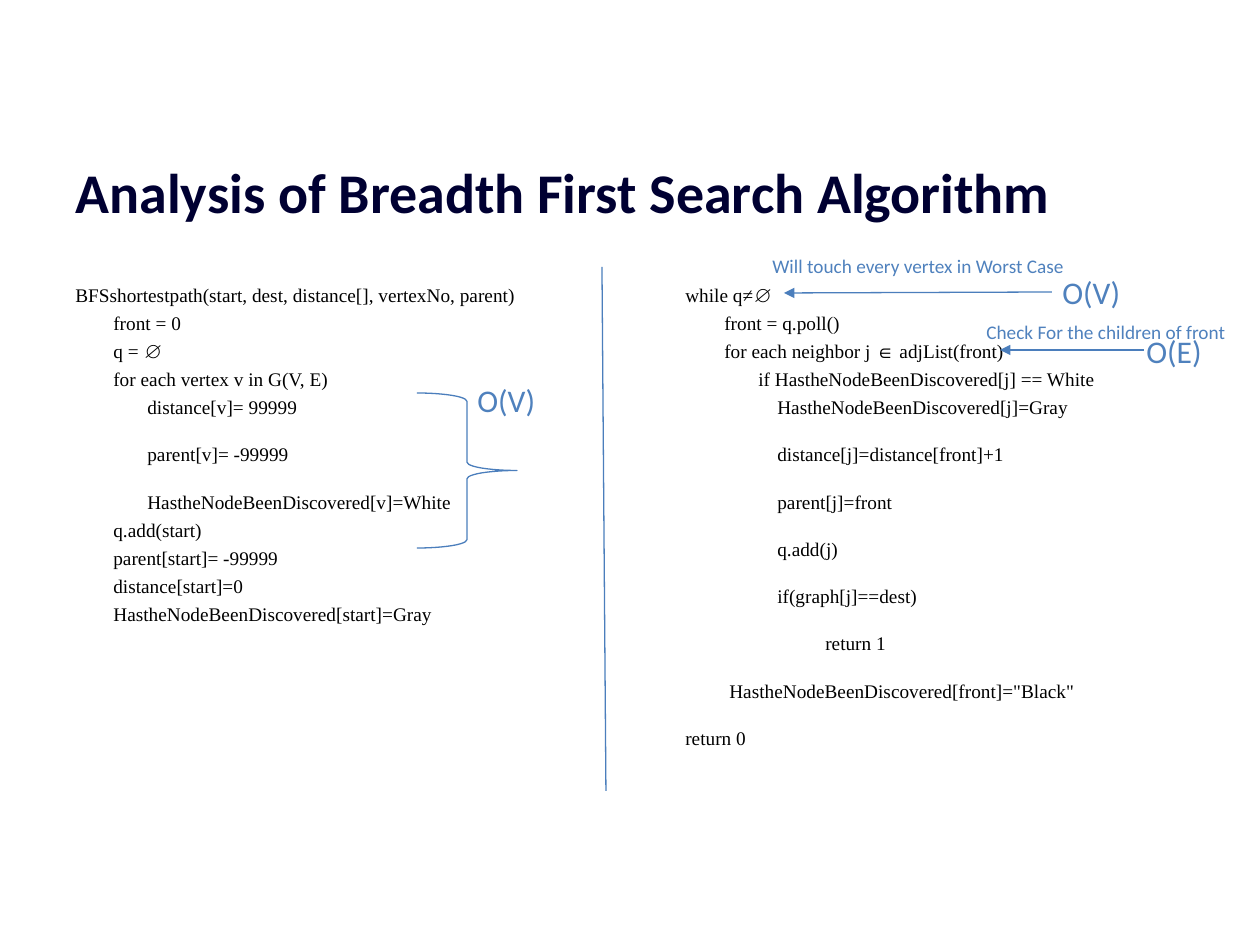
"""Build a slide that analyses the cost of breadth first search."""
import pptx
import pptx.dml.color
import pptx.enum.shapes
import pptx.enum.text
import pptx.oxml.ns
import pptx.util
from lxml import etree

PX = 914400 // 126
NAVY = pptx.dml.color.RGBColor(0x00, 0x00, 0x32)
BLACK = pptx.dml.color.RGBColor(0x00, 0x00, 0x00)
BLUE = pptx.dml.color.RGBColor(0x4F, 0x81, 0xBD)
LINE_BLUE = pptx.dml.color.RGBColor(0x4B, 0x7E, 0xBC)
TIGHT, LOOSE = 2.8, 13.8

SETUP_CODE = [
    (0, 0, "BFSshortestpath(start, dest, distance[], vertexNo, parent)"),
    (38, TIGHT, "front = 0"),
    (38, TIGHT, "q = ∅"),
    (38, TIGHT, "for each vertex v in G(V, E)"),
    (72, TIGHT, "distance[v]= 99999"),
    (72, LOOSE, "parent[v]= -99999"),
    (72, LOOSE, "HastheNodeBeenDiscovered[v]=White"),
    (38, TIGHT, "q.add(start)"),
    (38, TIGHT, "parent[start]= -99999"),
    (38, TIGHT, "distance[start]=0"),
    (38, TIGHT, "HastheNodeBeenDiscovered[start]=Gray"),
]
LOOP_CODE = [
    (33, 0, "while q≠∅"),
    (72, TIGHT, "front = q.poll()"),
    (72, TIGHT, "for each neighbor j ∈ adjList(front)"),
    (106, TIGHT, "if HastheNodeBeenDiscovered[j] == White"),
    (125, TIGHT, "HastheNodeBeenDiscovered[j]=Gray"),
    (125, LOOSE, "distance[j]=distance[front]+1"),
    (125, LOOSE, "parent[j]=front"),
    (125, LOOSE, "q.add(j)"),
    (125, LOOSE, "if(graph[j]==dest)"),
    (173, LOOSE, "return 1"),
    (77, LOOSE, "HastheNodeBeenDiscovered[front]=\"Black\""),
    (33, LOOSE, "return 0"),
]


def px(*lengths):
    return [length * PX for length in lengths]


def set_font(paragraph, name, size, color, bold=False):
    font = paragraph.font
    font.name, font.size, font.bold = name, pptx.util.Pt(size), bold
    font.color.rgb = color


def set_title(slide, text, box):
    title = slide.shapes.title
    title.left, title.top, title.width, title.height = px(*box)
    title.text_frame.vertical_anchor = pptx.enum.text.MSO_ANCHOR.BOTTOM
    heading = title.text_frame.paragraphs[0]
    heading.text = text
    heading.alignment = pptx.enum.text.PP_ALIGN.LEFT
    set_font(heading, "Calibri", 32, NAVY, True)


def add_code(slide, lines, box):
    frame = slide.shapes.add_textbox(*px(*box)).text_frame
    frame.word_wrap = True
    for number, (indent, gap, text) in enumerate(lines):
        line = frame.add_paragraph() if number else frame.paragraphs[0]
        line.text = text
        line.space_before = pptx.util.Pt(gap)
        line._p.get_or_add_pPr().set("marL", str(indent * PX))
        set_font(line, "Times New Roman", 11, BLACK)


def add_label(slide, text, size, box):
    frame = slide.shapes.add_textbox(*px(*box)).text_frame
    frame.word_wrap = True
    label = frame.paragraphs[0]
    label.text = text
    set_font(label, "Calibri", size, BLUE)


def add_line(slide, ends, arrow=False):
    line = slide.shapes.add_connector(
        pptx.enum.shapes.MSO_CONNECTOR.STRAIGHT, *px(*ends))
    line.line.color.rgb = LINE_BLUE
    line.line.width = pptx.util.Pt(0.75)
    if arrow:
        etree.SubElement(line.line._get_or_add_ln(),
                         pptx.oxml.ns.qn("a:tailEnd"), type="triangle")
    etree.SubElement(line._element.spPr, pptx.oxml.ns.qn("a:effectLst"))


def add_brace(slide, box):
    brace = slide.shapes.add_shape(
        pptx.enum.shapes.MSO_SHAPE.RIGHT_BRACE, *px(*box))
    brace.shadow.inherit = False
    brace.fill.background()
    brace.line.color.rgb = LINE_BLUE
    brace.line.width = pptx.util.Pt(0.75)


def main():
    deck = pptx.Presentation()
    deck.slide_width, deck.slide_height = px(1260, 945)
    slide = deck.slides.add_slide(deck.slide_layouts.get_by_name("Title Only"))

    set_title(slide, "Analysis of Breadth First Search Algorithm",
              (63, 134, 1134, 97))
    add_code(slide, SETUP_CODE, (63, 277, 557, 525))
    add_code(slide, LOOP_CODE, (640, 277, 557, 540))
    add_line(slide, (602, 267, 606, 791))

    add_brace(slide, (417, 393, 100, 155))
    for cost, left, top in (("O(V)", 465, 375), ("O(V)", 1050, 267),
                            ("O(E)", 1134, 326)):
        add_label(slide, cost, 18, (left, top, 90, 50))

    add_line(slide, (1052, 292, 784, 293), arrow=True)
    add_label(slide, "Will touch every vertex in Worst Case", 11,
              (760, 248, 367, 37))
    add_line(slide, (1144, 350, 1000, 350), arrow=True)
    add_label(slide, "Check For the children of front", 11,
              (974, 314, 280, 37))

    deck.save("out.pptx")


if __name__ == "__main__":
    main()
